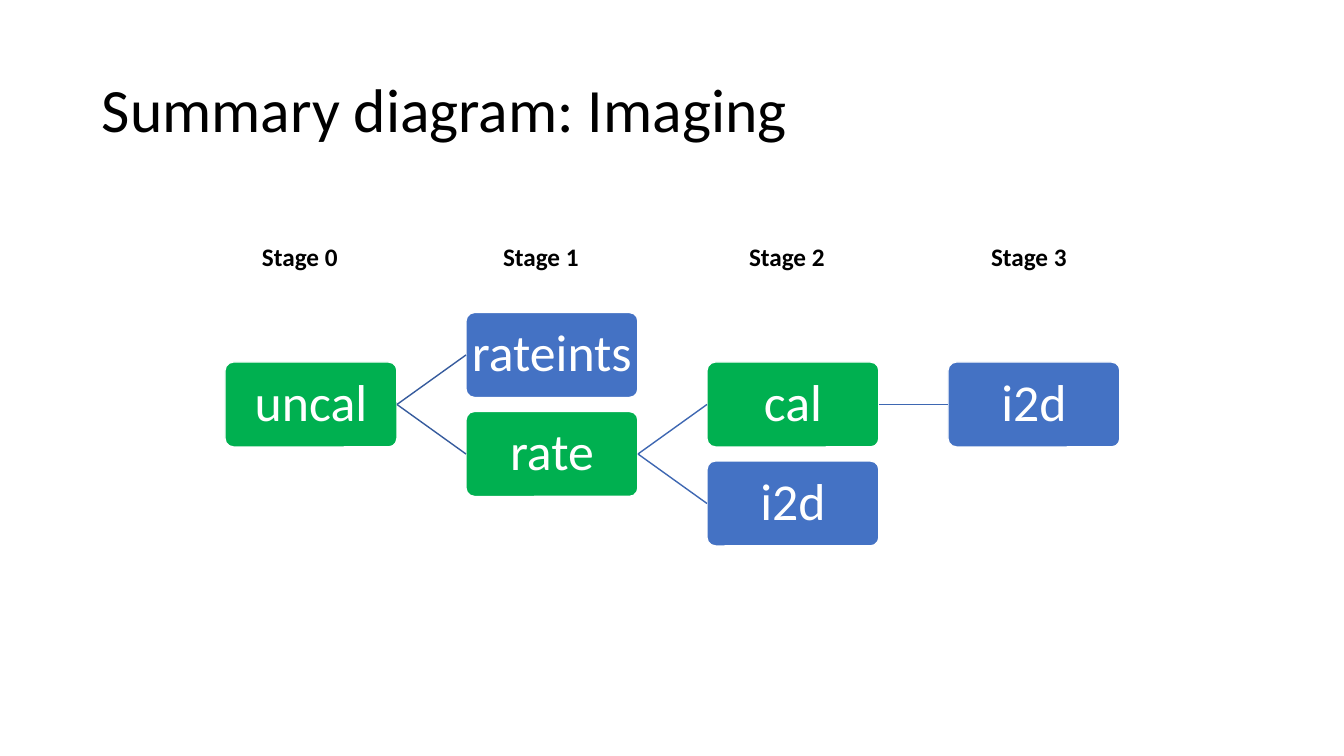
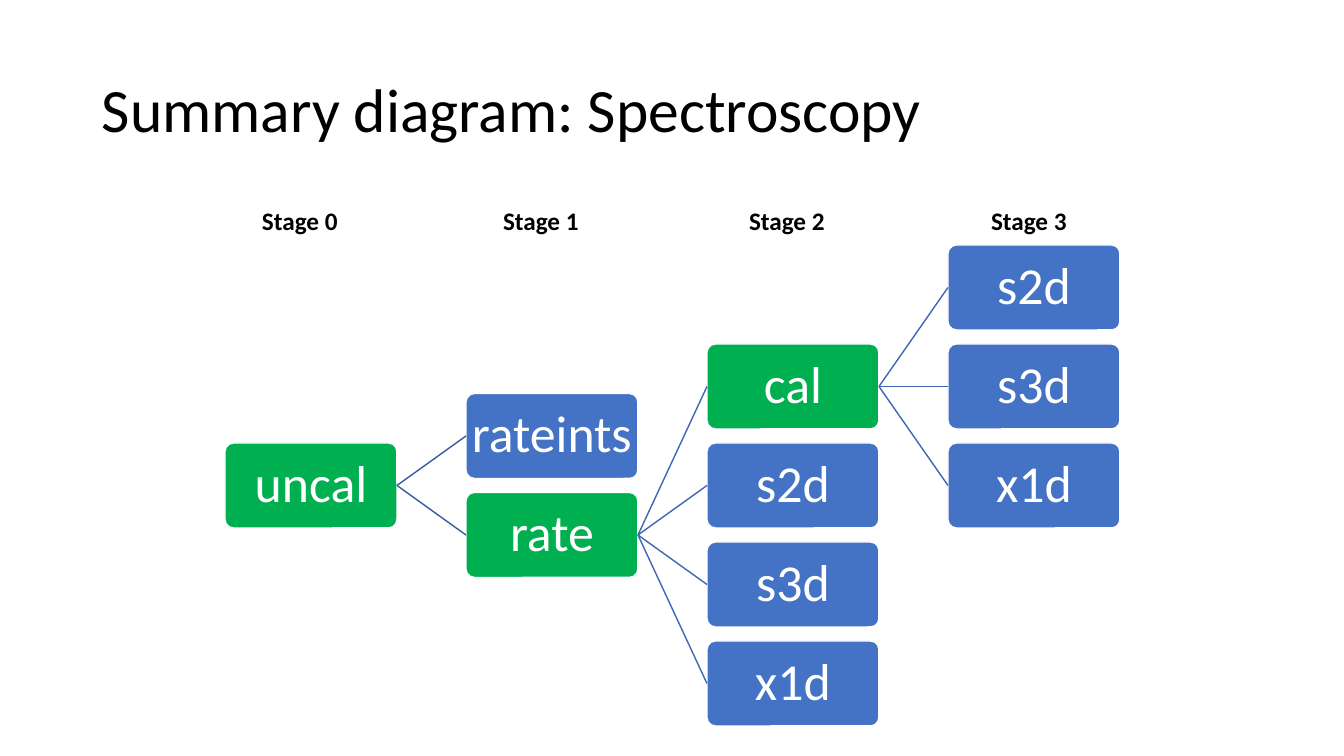
from dataclasses import dataclass

from lxml.etree import SubElement
from pptx import Presentation
from pptx.dml.color import RGBColor
from pptx.enum.shapes import MSO_CONNECTOR, MSO_SHAPE
from pptx.enum.text import MSO_ANCHOR, PP_ALIGN
from pptx.oxml.ns import qn
from pptx.util import Emu, Pt

EMU_PER_INCH = 914400
PX_PER_INCH = 100.8


@dataclass(frozen=True)
class Theme:
    font: str = "Calibri"
    text: str = "000000"
    node_text: str = "FFFFFF"
    node_border: str = "FFFFFF"
    main_fill: str = "00B050"
    product_fill: str = "4472C4"
    first_link: str = "365B9D"
    later_link: str = "3E67B2"
    title_size: int = 44
    node_size: int = 37
    stage_size: int = 18


@dataclass(frozen=True)
class Box:
    left: int
    top: int
    width: int
    height: int

    def emu(self):
        return [px(n) for n in (self.left, self.top, self.width, self.height)]


@dataclass(frozen=True)
class Product:
    """One file product; main products feed the next stage."""
    name: str
    main: bool = False
    children: tuple = ()


THEME = Theme()
PAGE = Box(0, 0, 1344, 756)
TITLE = Box(92, 40, 1159, 146)
NODE_WIDTH, NODE_HEIGHT = 172, 85
COLUMN_PITCH, ROW_PITCH = 241, 99
TREE_LEFT = 225
STAGE_LEFT, STAGE_WIDTH, STAGE_HEIGHT = 262, 964, 40
STAGE_TABS = (241, 487, 729)
STAGES = ("Stage 0", "Stage 1", "Stage 2", "Stage 3")


def px(length):
    return Emu(round(length * EMU_PER_INCH / PX_PER_INCH))


def rgb(value):
    return RGBColor.from_string(value)


def style_font(para, size, color, bold=False):
    para.font.name = THEME.font
    para.font.size = Pt(size)
    para.font.bold = bold
    para.font.color.rgb = rgb(color)


def add_title(page, box, text):
    frame = page.shapes.add_textbox(*box.emu()).text_frame
    frame.word_wrap = True
    frame.vertical_anchor = MSO_ANCHOR.MIDDLE
    para = frame.paragraphs[0]
    para.text = text
    para.line_spacing = 0.9
    style_font(para, THEME.title_size, THEME.text)


def add_stage_row(page, box):
    """Write the stage names on one line, spread by tab stops."""
    frame = page.shapes.add_textbox(*box.emu()).text_frame
    frame.word_wrap = True
    frame.margin_left = frame.margin_right = 0
    para = frame.paragraphs[0]
    para.text = "\t".join(STAGES)
    stops = SubElement(para._p.get_or_add_pPr(), qn("a:tabLst"))
    for stop in STAGE_TABS:
        SubElement(stops, qn("a:tab"), pos=str(px(stop)), algn="l")
    style_font(para, THEME.stage_size, THEME.text, bold=True)


def add_node(page, box, product):
    node = page.shapes.add_shape(MSO_SHAPE.ROUNDED_RECTANGLE, *box.emu())
    node.adjustments[0] = 0.1
    node.shadow.inherit = False
    node.fill.solid()
    node.fill.fore_color.rgb = rgb(
        THEME.main_fill if product.main else THEME.product_fill)
    node.line.color.rgb = rgb(THEME.node_border)
    node.line.width = Pt(1)
    frame = node.text_frame
    frame.word_wrap = True
    frame.vertical_anchor = MSO_ANCHOR.MIDDLE
    frame.margin_left = frame.margin_right = px(2)
    frame.margin_top = frame.margin_bottom = px(2)
    para = frame.paragraphs[0]
    para.text = product.name
    para.alignment = PP_ALIGN.CENTER
    para.line_spacing = 0.9
    style_font(para, THEME.node_size, THEME.node_text)
    return node


def add_link(page, parent, child, color):
    link = page.shapes.add_connector(MSO_CONNECTOR.STRAIGHT, 0, 0, 0, 0)
    link.begin_connect(parent, 3)
    link.end_connect(child, 1)
    link.line.color.rgb = rgb(color)
    link.line.width = Pt(1)
    SubElement(link._element.spPr, qn("a:effectLst"))


def add_tree(page, box, product, depth=0):
    """Draw a product in its box, its children centred on it one column on."""
    node = add_node(page, box, product)
    color = THEME.later_link if depth else THEME.first_link
    middle = (len(product.children) - 1) / 2
    for index, child in enumerate(product.children):
        child_box = Box(box.left + COLUMN_PITCH,
                        box.top + (index - middle) * ROW_PITCH,
                        box.width, box.height)
        add_link(page, node, add_tree(page, child_box, child, depth + 1), color)
    return node


def add_diagram_page(deck, title, stage_top, tree_top, root):
    page = deck.slides.add_slide(deck.slide_layouts[6])
    add_title(page, TITLE, title)
    add_tree(page, Box(TREE_LEFT, tree_top, NODE_WIDTH, NODE_HEIGHT), root)
    add_stage_row(page, Box(STAGE_LEFT, stage_top, STAGE_WIDTH, STAGE_HEIGHT))


def pipeline(*rate_children):
    rate = Product("rate", True, rate_children)
    return Product("uncal", True, (Product("rateints"), rate))


def main():
    deck = Presentation()
    deck.slide_width, deck.slide_height = px(PAGE.width), px(PAGE.height)
    image = Product("i2d")
    spectra = tuple(Product(name) for name in ("s2d", "s3d", "x1d"))
    add_diagram_page(deck, "Summary diagram: Imaging", 236, 362,
                     pipeline(Product("cal", True, (image,)), image))
    add_diagram_page(deck, "Summary diagram: Spectroscopy", 200, 443,
                     pipeline(Product("cal", True, spectra), *spectra))
    deck.save("out.pptx")


if __name__ == "__main__":
    main()
